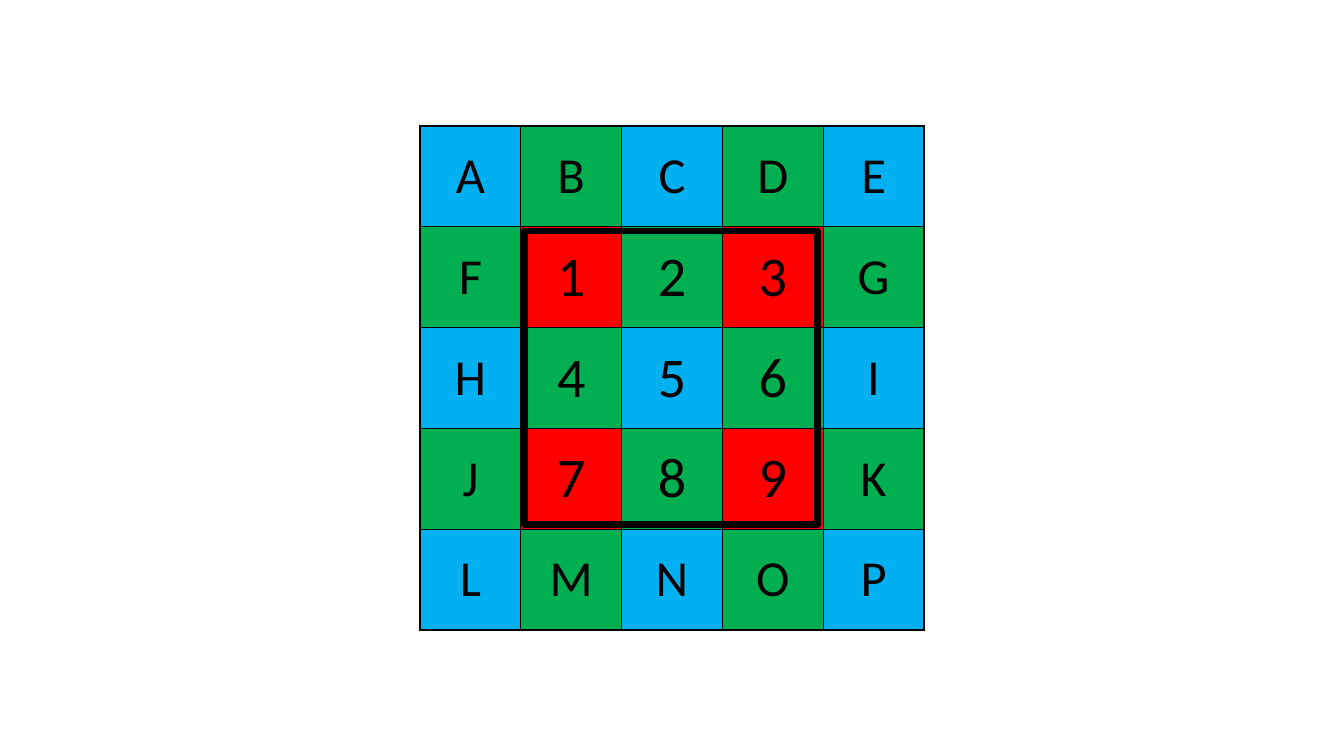
from pptx import Presentation
from pptx.dml.color import RGBColor
from pptx.enum.shapes import MSO_SHAPE
from pptx.enum.text import MSO_ANCHOR, PP_ALIGN
from pptx.oxml import parse_xml
from pptx.oxml.ns import nsdecls
from pptx.util import Pt

COLORS = {"blue": "00B0F0", "green": "00B050", "red": "FF0000", "black": "000000"}
ROWS = ["ABCDE", "F123G", "H456I", "J789K", "LMNOP"]
CELL = 72
SIZE = CELL * len(ROWS)


def rgb(name):
    """Return the named colour."""
    return RGBColor.from_string(COLORS[name])


def add_borders(cell, width):
    """Draw a black line on all four sides of a cell."""
    tcPr = cell._tc.get_or_add_tcPr()
    for i, side in enumerate(("lnL", "lnR", "lnT", "lnB")):
        tcPr.insert(i, parse_xml(
            f'<a:{side} {nsdecls("a")} w="{Pt(width)}"><a:solidFill>'
            f'<a:srgbClr val="{COLORS["black"]}"/></a:solidFill></a:{side}>'))


prs = Presentation()
prs.slide_width, prs.slide_height = Pt(960), Pt(540)
s = prs.slides.add_slide(prs.slide_layouts[6])

# Lettered border around a numbered 3 x 3 block
grid = s.shapes.add_table(len(ROWS), len(ROWS), Pt(300), Pt(90), Pt(SIZE), Pt(SIZE)).table
grid.first_row = grid.horz_banding = False
for i, labels in enumerate(ROWS):
    grid.rows[i].height = grid.columns[i].width = Pt(CELL)
    for j, label in enumerate(labels):
        cell = grid.cell(i, j)
        # Checkerboard: odd sums green, even sums red on odd rows, else blue
        color = "green" if (i + j) % 2 else "red" if i % 2 else "blue"
        cell.fill.solid()
        cell.fill.fore_color.rgb = rgb(color)
        cell.vertical_anchor = MSO_ANCHOR.MIDDLE
        add_borders(cell, 1)
        p = cell.text_frame.paragraphs[0]
        p.alignment = PP_ALIGN.CENTER
        r = p.add_run()
        r.text = label
        font = {"name": "Calibri", "size": Pt(40 if label.isdigit() else 36), "bold": False}
        for key, value in font.items():
            setattr(r.font, key, value)
        r.font.color.rgb = rgb("black")

# Heavy frame around the numbers
frame = s.shapes.add_shape(MSO_SHAPE.RECTANGLE, Pt(375), Pt(165), Pt(209), Pt(209.5))
frame.shadow.inherit = False
frame.fill.background()
frame.line.color.rgb = rgb("black")
frame.line.width = Pt(5)

prs.save("out.pptx")
